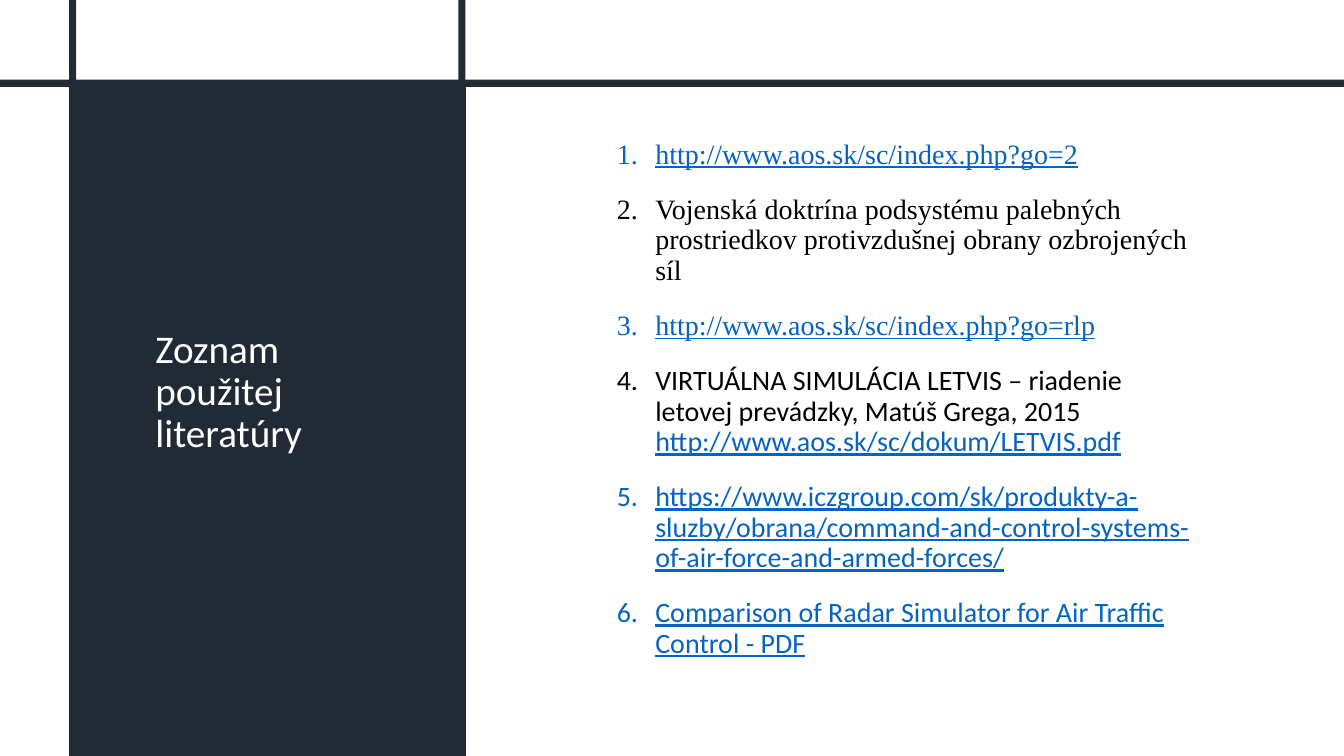
from pptx import Presentation
from pptx.dml.color import RGBColor
from pptx.enum.shapes import MSO_SHAPE
from pptx.enum.text import MSO_ANCHOR, MSO_AUTO_SIZE, PP_ALIGN
from pptx.oxml.ns import qn
from pptx.util import Cm, Pt
from lxml.etree import SubElement

WIDE, HIGH, THICK = 33.87, 19.05, 0.18
SERIF, SANS = "Times New Roman", "Calibri"


def tint(code):
    return RGBColor.from_string(code)


class Deck:
    dark, link, ink, pale = "222A35", "0563C1", "000000", "FFFFFF"

    def __init__(self):
        self.file = Presentation()
        self.file.slide_width, self.file.slide_height = Cm(WIDE), Cm(HIGH)
        self.slide = self.file.slides.add_slide(self.file.slide_layouts[1])

    def block(self, left, top, width, height):
        """Dark rectangle placed behind the text."""
        box = self.slide.shapes.add_shape(
            MSO_SHAPE.RECTANGLE, Cm(left), Cm(top), Cm(width), Cm(height))
        box.shadow.inherit = False
        box.fill.solid()
        box.fill.fore_color.rgb = tint(self.dark)
        box.line.fill.background()
        self.slide.shapes._spTree.insert(2, box._element)

    def place(self, holder, left, top, width, height, anchor):
        holder.left, holder.top = Cm(left), Cm(top)
        holder.width, holder.height = Cm(width), Cm(height)
        frame = holder.text_frame
        frame.word_wrap = True
        frame.auto_size = MSO_AUTO_SIZE.NONE
        frame.vertical_anchor = anchor
        return frame

    def run(self, para, text, size, face, color, under=False):
        run = para.add_run()
        run.text = text
        font = run.font
        font.size, font.name, font.underline = Pt(size), face, under
        font.color.rgb = tint(color)

    def title(self, text, *area):
        frame = self.place(self.slide.shapes.title, *area, MSO_ANCHOR.MIDDLE)
        para = frame.paragraphs[0]
        para.alignment, para.line_spacing = PP_ALIGN.LEFT, 0.9
        self.run(para, text, 28, SANS, self.pale)

    def items(self, rows, *area):
        """Numbered list; each row is a face and its (text, is link) parts."""
        frame = self.place(self.slide.placeholders[1], *area, MSO_ANCHOR.TOP)
        for pos, (face, parts) in enumerate(rows):
            para = frame.add_paragraph() if pos else frame.paragraphs[0]
            props = para._p.get_or_add_pPr()
            props.set("marL", str(Cm(0.97)))
            props.set("indent", str(-Cm(0.97)))
            SubElement(props, qn("a:buFont"), typeface="+mj-lt")
            SubElement(props, qn("a:buAutoNum"), type="arabicPeriod")
            para.line_spacing = 0.9
            para.space_before = Pt(10 if pos else 0)
            para.space_after = Pt(8)
            for text, link in parts:
                self.run(para, text, 20, face,
                         self.link if link else self.ink, link)


def main():
    deck = Deck()

    # Side panel and crossing bars
    deck.block(1.83, 2.16, 9.91, 16.89)
    deck.block(0, 2.01, WIDE, THICK)
    for left in (1.74, 11.55):
        deck.block(left, 0, THICK, HIGH)

    # Heading
    deck.title("Zoznam použitej literatúry", 3.66, 3.99, 5.99, 11.81)

    # Sources
    deck.items([
        (SERIF, [("http://www.aos.sk/sc/index.php?go=2", True)]),
        (SERIF, [("Vojenská doktrína podsystému palebných prostriedkov "
                  "protivzdušnej obrany ozbrojených síl", False)]),
        (SERIF, [("http://www.aos.sk/sc/index.php?go=rlp", True)]),
        (SANS, [("VIRTUÁLNA SIMULÁCIA LETVIS – riadenie letovej prevádzky, "
                 "Matúš Grega, 2015 ", False),
                ("http://www.aos.sk/sc/dokum/LETVIS.pdf", True)]),
        (SANS, [("https://www.iczgroup.com/sk/produkty-a-sluzby/obrana/"
                 "command-and-control-systems-of-air-force-and-armed-forces/",
                 True)]),
        (SANS, [("Comparison of Radar Simulator for Air Traffic Control - PDF",
                 True)]),
    ], 15.29, 3.4, 15.01, 15.65)

    deck.file.save("out.pptx")


if __name__ == "__main__":
    main()
